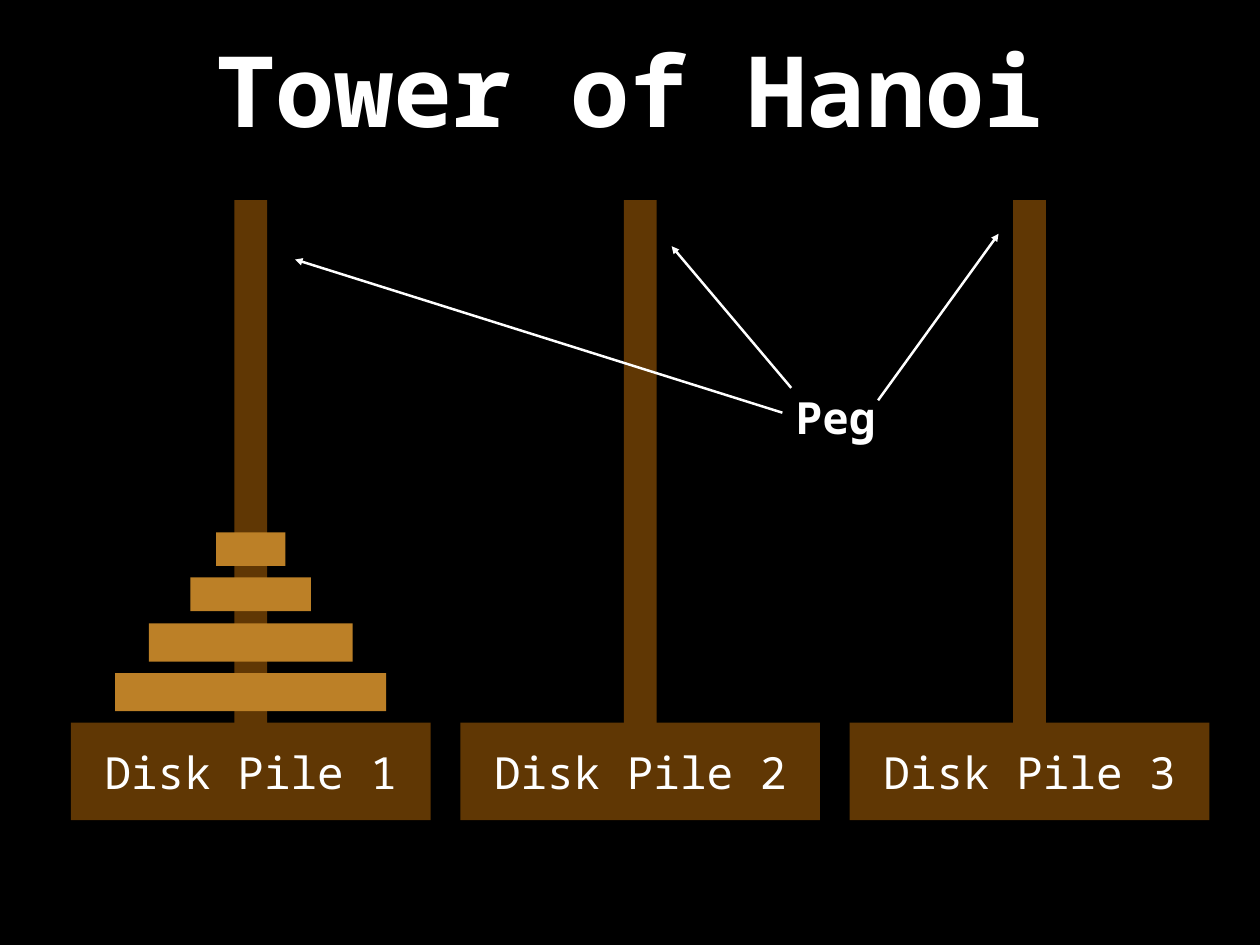
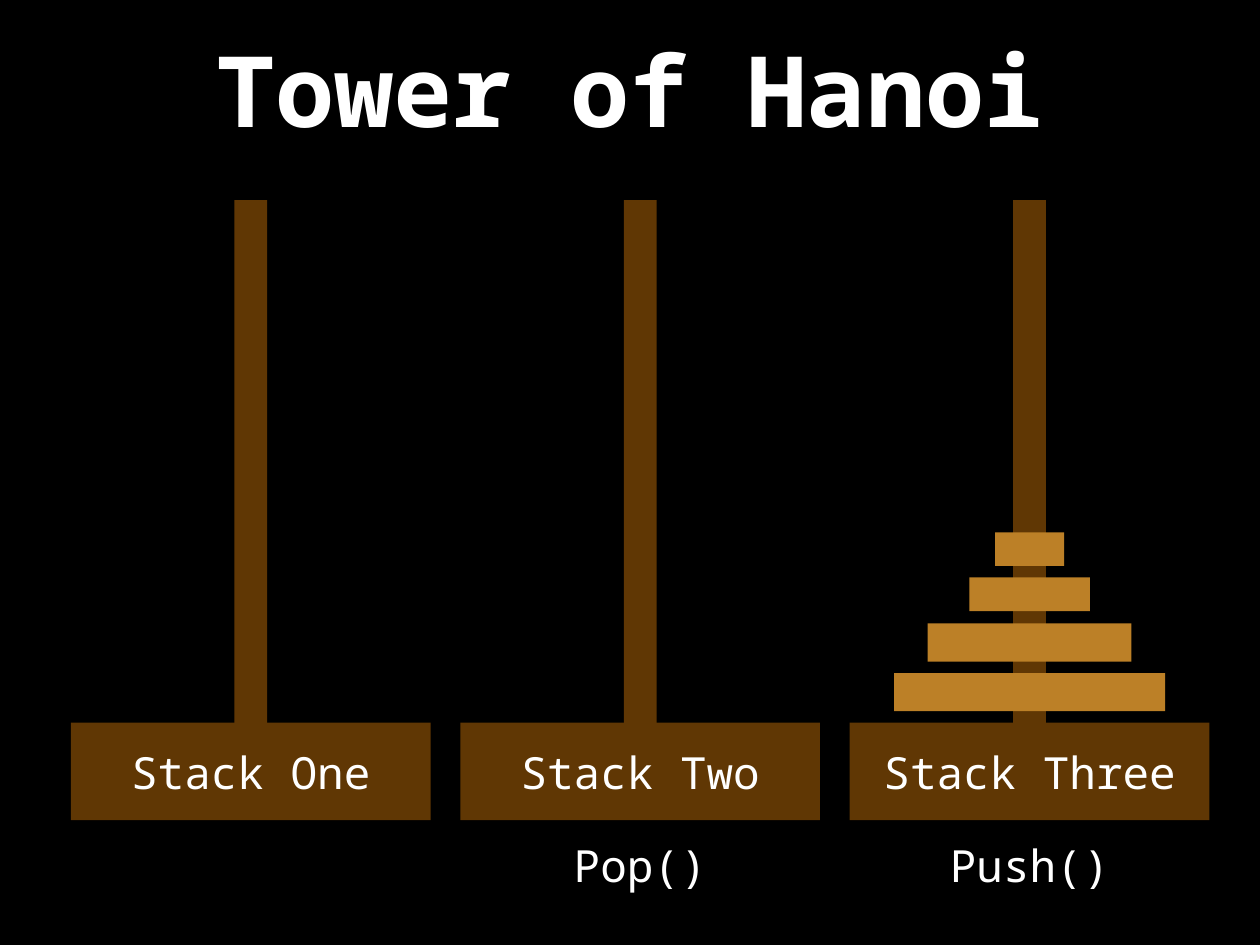
import dataclasses

import pptx
import pptx.dml.color
import pptx.enum.shapes
import pptx.enum.text
import pptx.oxml.ns
import pptx.slide
import pptx.util
from lxml import etree

BLACK = pptx.dml.color.RGBColor(0x00, 0x00, 0x00)
WHITE = pptx.dml.color.RGBColor(0xFF, 0xFF, 0xFF)
DARK_WOOD = pptx.dml.color.RGBColor(0x60, 0x37, 0x04)
LIGHT_WOOD = pptx.dml.color.RGBColor(0xBC, 0x80, 0x27)

FONT = "Noto Sans Mono"
TITLE_SIZE = 80
LABEL_SIZE = 36
INSET = 0.06

PAGE_WIDTH, PAGE_HEIGHT = 14.22, 10.67
FIRST_COLUMN, LAST_COLUMN = 2.83, 11.62
COLUMN_COUNT = 3
COLUMN_PITCH = (LAST_COLUMN - FIRST_COLUMN) / (COLUMN_COUNT - 1)
COLUMNS = [FIRST_COLUMN + index * COLUMN_PITCH for index in range(COLUMN_COUNT)]

TITLE_ROW = 1.0
LABEL_ROW = 8.71
CALL_ROW = 9.76
LABEL_HEIGHT = 0.68
CHARACTER_WIDTH = LABEL_SIZE * 0.6 / 72


@dataclasses.dataclass(frozen=True)
class Block:
    top: float
    width: float
    height: float
    color: pptx.dml.color.RGBColor


@dataclasses.dataclass(frozen=True)
class Label:
    text: str
    center: float
    row: float
    bold: bool = False


@dataclasses.dataclass(frozen=True)
class Arrow:
    start: tuple[float, float]
    end: tuple[float, float]


@dataclasses.dataclass(frozen=True)
class TowerPage:
    piles: tuple[str, ...]
    disk_column: int
    notes: tuple[Label, ...]
    arrows: tuple[Arrow, ...] = ()


PEG = Block(2.26, 0.37, 6.14, DARK_WOOD)
BASE = Block(8.16, 4.06, 1.1, DARK_WOOD)
DISKS = (
    Block(7.6, 3.06, 0.43, LIGHT_WOOD),
    Block(7.04, 2.3, 0.43, LIGHT_WOOD),
    Block(6.52, 1.36, 0.38, LIGHT_WOOD),
    Block(6.01, 0.78, 0.38, LIGHT_WOOD),
)

PAGES = (
    TowerPage(
        piles=("Disk Pile 1", "Disk Pile 2", "Disk Pile 3"),
        disk_column=0,
        notes=(Label("Peg", 9.43, 4.71, bold=True),),
        arrows=(
            Arrow((8.83, 4.66), (3.33, 2.93)),
            Arrow((8.93, 4.38), (7.58, 2.78)),
            Arrow((9.91, 4.52), (11.27, 2.64)),
        ),
    ),
    TowerPage(
        piles=("Stack One", "Stack Two", "Stack Three"),
        disk_column=2,
        notes=(
            Label("Pop()", COLUMNS[1], CALL_ROW),
            Label("Push()", COLUMNS[2], CALL_ROW),
        ),
    ),
)


def inches(*lengths: float) -> list[pptx.util.Length]:
    return [pptx.util.Inches(length) for length in lengths]


def draw_block(page: pptx.slide.Slide, block: Block, center: float) -> None:
    shape = page.shapes.add_shape(
        pptx.enum.shapes.MSO_SHAPE.RECTANGLE,
        *inches(center - block.width / 2, block.top, block.width, block.height),
    )
    shape.shadow.inherit = False
    shape.fill.solid()
    shape.fill.fore_color.rgb = block.color
    shape.line.fill.background()


def draw_text(
    page: pptx.slide.Slide,
    label: Label,
    width: float,
    height: float,
    size: float,
    wrap: bool,
) -> None:
    box = page.shapes.add_textbox(
        *inches(label.center - width / 2, label.row - height / 2, width, height)
    )
    frame = box.text_frame
    frame.word_wrap = wrap
    frame.auto_size = (
        pptx.enum.text.MSO_AUTO_SIZE.NONE
        if wrap
        else pptx.enum.text.MSO_AUTO_SIZE.SHAPE_TO_FIT_TEXT
    )
    frame.vertical_anchor = pptx.enum.text.MSO_ANCHOR.MIDDLE
    frame.margin_left = frame.margin_right = pptx.util.Inches(INSET)
    frame.margin_top = frame.margin_bottom = pptx.util.Inches(INSET)
    para = frame.paragraphs[0]
    para.text = label.text
    para.alignment = pptx.enum.text.PP_ALIGN.CENTER
    para.font.name = FONT
    para.font.size = pptx.util.Pt(size)
    para.font.bold = label.bold
    para.font.color.rgb = WHITE


def draw_title(page: pptx.slide.Slide) -> None:
    title = Label("Tower of Hanoi", PAGE_WIDTH / 2, TITLE_ROW, bold=True)
    draw_text(page, title, 12.14, 1.61, TITLE_SIZE, wrap=True)


def draw_label(page: pptx.slide.Slide, label: Label) -> None:
    width = len(label.text) * CHARACTER_WIDTH + 2 * INSET
    draw_text(page, label, width, LABEL_HEIGHT, LABEL_SIZE, wrap=False)


def draw_arrow(page: pptx.slide.Slide, arrow: Arrow) -> None:
    connector = page.shapes.add_connector(
        pptx.enum.shapes.MSO_CONNECTOR.STRAIGHT, *inches(*arrow.start, *arrow.end)
    )
    connector.line.color.rgb = WHITE
    connector.line.width = pptx.util.Pt(2)
    qualified = pptx.oxml.ns.qn
    properties = connector._element.spPr
    outline = properties.find(qualified("a:ln"))
    etree.SubElement(outline, qualified("a:tailEnd"), type="triangle")
    etree.SubElement(properties, qualified("a:effectLst"))


def draw_page(page: pptx.slide.Slide, content: TowerPage) -> None:
    draw_title(page)
    for block in (PEG, BASE):
        for center in COLUMNS:
            draw_block(page, block, center)
    for disk in DISKS:
        draw_block(page, disk, COLUMNS[content.disk_column])
    for name, center in zip(content.piles, COLUMNS):
        draw_label(page, Label(name, center, LABEL_ROW))
    for note in content.notes:
        draw_label(page, note)
    for arrow in content.arrows:
        draw_arrow(page, arrow)


deck = pptx.Presentation()
deck.slide_width, deck.slide_height = inches(PAGE_WIDTH, PAGE_HEIGHT)
background = deck.slide_master.background.fill
background.solid()
background.fore_color.rgb = BLACK
blank_layout = deck.slide_layouts[6]
for content in PAGES:
    draw_page(deck.slides.add_slide(blank_layout), content)
deck.save("out.pptx")
